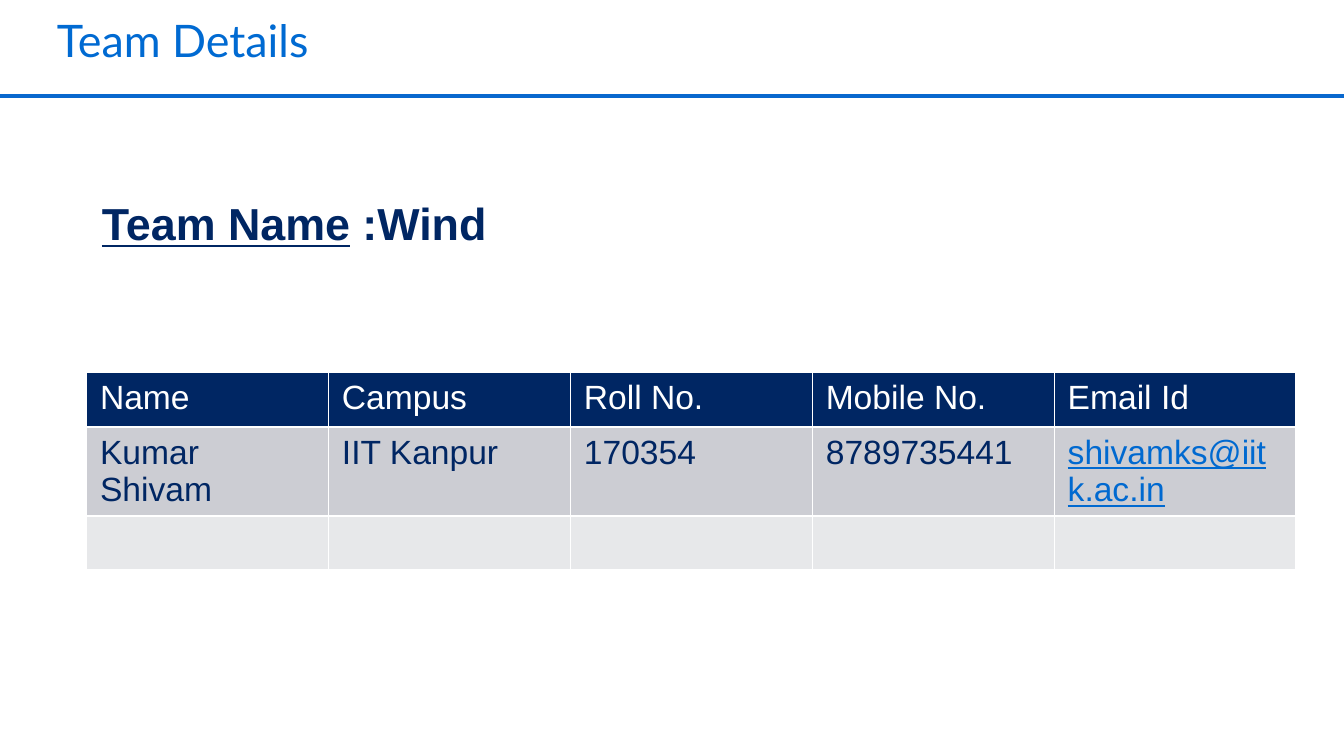
from dataclasses import dataclass

from lxml.etree import SubElement
from pptx import Presentation
from pptx.dml.color import RGBColor
from pptx.enum.shapes import MSO_CONNECTOR
from pptx.enum.text import MSO_ANCHOR, MSO_AUTO_SIZE
from pptx.oxml import parse_xml
from pptx.oxml.ns import nsdecls, qn
from pptx.util import Pt

# Content
TITLE = "Team Details"
TEAM_LABEL, TEAM_NAME = "Team Name", " :Wind"
MEMBERS = [
    ["Name ", "Campus", "Roll No.", "Mobile No. ", "Email Id"],
    ["Kumar Shivam", "IIT Kanpur", "170354", "8789735441", "shivamks@iitk.ac.in"],
    ["", "", "", "", ""],
]


@dataclass(frozen=True)
class Theme:
    navy: str = "002663"
    title: str = "006AD2"
    rule: str = "0968CE"
    link: str = "0069D0"
    white: str = "FFFFFF"
    row_fills: tuple = ("002663", "CCCDD3", "E7E8EA")
    heading_font: str = "Lato"
    body_font: str = "Arial"
    heading_size: int = 24
    table_size: int = 18


THEME = Theme()
WIDTH, HEIGHT = 720, 405
RULE_TOP = 51.6
TABLE_LEFT, TABLE_TOP = 46.4, 199.6
COLUMN_WIDTH, ROW_HEIGHT = 129.6, 29.2


def add_text(paragraph, text, *, size, color, font=THEME.body_font,
             bold=False, underline=False):
    run = paragraph.add_run()
    run.text = text
    run.font.name = font
    run.font.size = Pt(size)
    run.font.bold = bold
    run.font.underline = underline
    run.font.color.rgb = RGBColor.from_string(color)


def set_borders(cell, color, width):
    properties = cell._tc.get_or_add_tcPr()
    for index, side in enumerate(("lnL", "lnR", "lnT", "lnB")):
        properties.insert(index, parse_xml(
            f'<a:{side} {nsdecls("a")} w="{Pt(width)}"><a:solidFill>'
            f'<a:srgbClr val="{color}"/></a:solidFill></a:{side}>'))


presentation = Presentation()
presentation.slide_width, presentation.slide_height = Pt(WIDTH), Pt(HEIGHT)
slide = presentation.slides.add_slide(presentation.slide_layouts[5])

# Title
title = slide.shapes.title
title.left, title.top, title.width, title.height = Pt(30.5), Pt(12), Pt(648), Pt(59)
frame = title.text_frame
frame.margin_left = frame.margin_right = frame.margin_top = frame.margin_bottom = 0
frame.vertical_anchor = MSO_ANCHOR.TOP
frame.auto_size = MSO_AUTO_SIZE.NONE
frame.word_wrap = True
heading = frame.paragraphs[0]
heading.alignment = 1
heading.line_spacing = 0.82
add_text(heading, TITLE, size=THEME.heading_size, color=THEME.title,
         font=THEME.heading_font)

# Rule below the title
rule = slide.shapes.add_connector(
    MSO_CONNECTOR.STRAIGHT, 0, Pt(RULE_TOP), Pt(WIDTH), Pt(RULE_TOP))
rule.line.color.rgb = RGBColor.from_string(THEME.rule)
rule.line.width = Pt(2)
SubElement(rule._element.spPr, qn("a:effectLst"))

# Member table
table = slide.shapes.add_table(
    len(MEMBERS), len(MEMBERS[0]), Pt(TABLE_LEFT), Pt(TABLE_TOP),
    Pt(COLUMN_WIDTH * len(MEMBERS[0])), Pt(ROW_HEIGHT * len(MEMBERS))).table
for row, (values, fill) in enumerate(zip(MEMBERS, THEME.row_fills)):
    table.rows[row].height = Pt(ROW_HEIGHT)
    for column, value in enumerate(values):
        cell = table.cell(row, column)
        cell.fill.solid()
        cell.fill.fore_color.rgb = RGBColor.from_string(fill)
        set_borders(cell, THEME.white, 1)
        is_email = "@" in value
        color = THEME.white if row == 0 else THEME.link if is_email else THEME.navy
        if value:
            add_text(cell.text_frame.paragraphs[0], value, size=THEME.table_size,
                     color=color, underline=is_email)

# Team name
team = slide.shapes.add_textbox(Pt(47.5), Pt(101.5), Pt(284.4), Pt(36)).text_frame
team.word_wrap = True
team.auto_size = MSO_AUTO_SIZE.SHAPE_TO_FIT_TEXT
for text, underline in ((TEAM_LABEL, True), (TEAM_NAME, False)):
    add_text(team.paragraphs[0], text, size=THEME.heading_size,
             color=THEME.navy, bold=True, underline=underline)

presentation.save("out.pptx")
